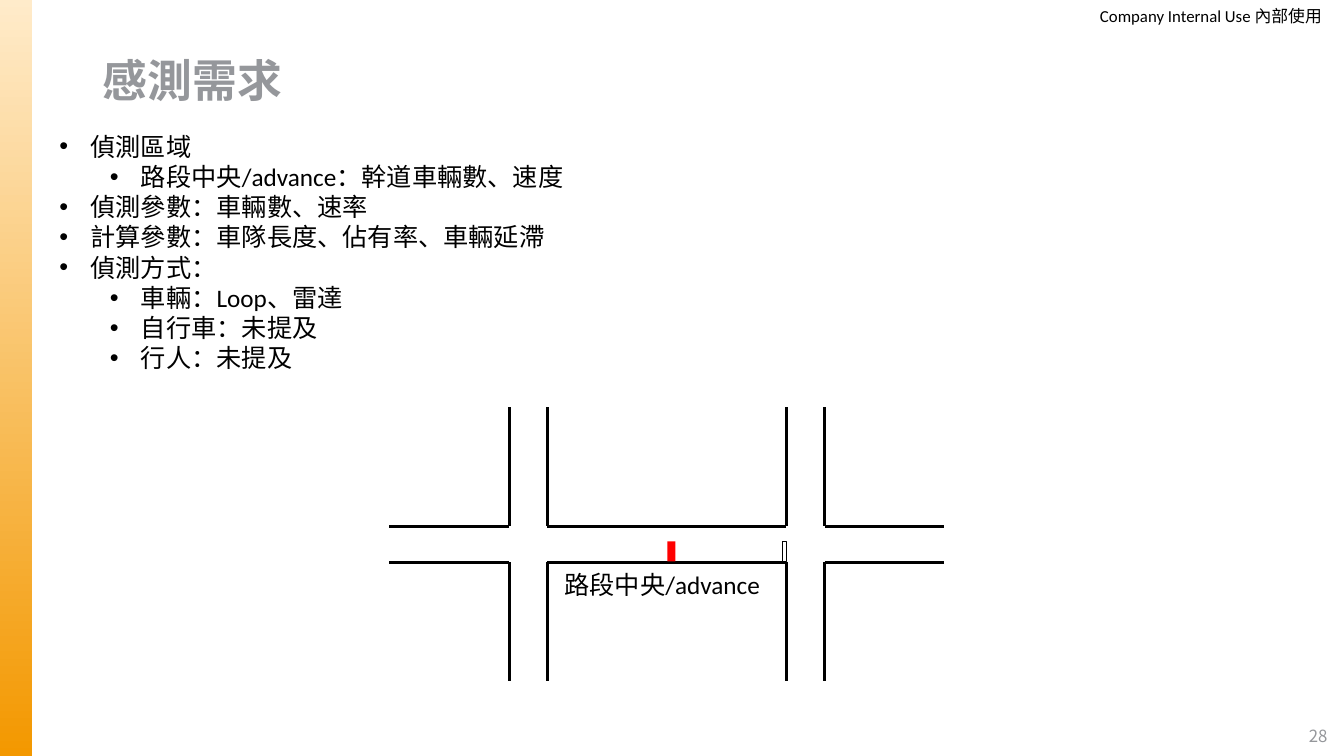
from lxml import etree
from pptx import Presentation
from pptx.dml.color import RGBColor
from pptx.enum.shapes import MSO_CONNECTOR, MSO_SHAPE
from pptx.enum.text import MSO_ANCHOR, PP_ALIGN
from pptx.oxml.ns import qn
from pptx.util import Pt

PX = 9144  # 100 px to the inch
BLACK = RGBColor(0x00, 0x00, 0x00)
WHITE = RGBColor(0xFF, 0xFF, 0xFF)
GRAY = RGBColor(0x95, 0x97, 0x9B)
RED = RGBColor(0xFF, 0x00, 0x00)
CREAM = RGBColor(0xFF, 0xEB, 0xCA)
ORANGE = RGBColor(0xF3, 0x98, 0x00)
LATIN, CJK, CJK_SC = "Calibri", "Noto Sans CJK TC", "Noto Sans CJK SC"
RECT, STRAIGHT = MSO_SHAPE.RECTANGLE, MSO_CONNECTOR.STRAIGHT
TOP, MIDDLE = MSO_ANCHOR.TOP, MSO_ANCHOR.MIDDLE
LEFT, CENTER, RIGHT = PP_ALIGN.LEFT, PP_ALIGN.CENTER, PP_ALIGN.RIGHT

BULLETS = [
    (0, "偵測區域"),
    (1, "路段中央/advance：幹道車輛數、速度"),
    (0, "偵測參數：車輛數、速率"),
    (0, "計算參數：車隊長度、佔有率、車輛延滯"),
    (0, "偵測方式："),
    (1, "車輛：Loop、雷達"),
    (1, "自行車：未提及"),
    (1, "行人：未提及"),
]


def emu(*lengths):
    return [n * PX for n in lengths]


def add_frame(s, box, anchor=TOP, insets=(10, 5, 10, 5)):
    tf = s.shapes.add_textbox(*emu(*box)).text_frame
    tf.word_wrap = True
    tf.vertical_anchor = anchor
    tf.margin_left, tf.margin_top, tf.margin_right, tf.margin_bottom = emu(*insets)
    return tf


def add_run(p, text, size, color=BLACK, font=LATIN, ea=CJK, bold=False):
    r = p.add_run()
    r.text = text
    r.font.size, r.font.bold, r.font.name = Pt(size), bold, font
    r.font.color.rgb = color
    etree.SubElement(r.font._element, qn("a:ea"), typeface=ea)


def add_label(s, box, text, size, align=LEFT, anchor=TOP, insets=(10, 5, 10, 5), **style):
    p = add_frame(s, box, anchor, insets).paragraphs[0]
    p.alignment = align
    add_run(p, text, size, **style)
    return p


def add_box(s, box):
    sp = s.shapes.add_shape(RECT, *emu(*box))
    sp.shadow.inherit = False
    sp.line.fill.background()
    return sp


def add_road_edge(s, x1, y1, x2, y2):
    line = s.shapes.add_connector(STRAIGHT, *emu(x1, y1, x2, y2))
    line.line.color.rgb = BLACK
    line.line.width = Pt(2.25)
    etree.SubElement(line._element.spPr, qn("a:effectLst"))


def add_side_band(s, box):
    fill = add_box(s, box).fill
    fill.gradient()
    fill.gradient_angle = 270
    for stop, color, position in zip(fill.gradient_stops, (CREAM, ORANGE), (0, 1)):
        stop.color.rgb = color
        stop.position = position


def add_bullets(s, box):
    tf = add_frame(s, box)
    for i, (level, text) in enumerate(BULLETS):
        p = tf.paragraphs[0] if i == 0 else tf.add_paragraph()
        p.level = level
        pPr = p._p.get_or_add_pPr()
        pPr.set("marL", str((31 + 50 * level) * PX))
        pPr.set("indent", str(-31 * PX))
        etree.SubElement(pPr, qn("a:buFont"), typeface="Arial")
        etree.SubElement(pPr, qn("a:buChar"), char="•")
        add_run(p, text, 18)


def add_road_diagram(s, box):
    x, y, w, h = box
    arm, lane, street = 118, 36, 38
    street_lefts = (x + arm + 1, x + w - arm - street)
    upper, lower = y + arm, y + arm + lane

    # Cross streets
    for left in street_lefts:
        for edge in (left, left + street):
            add_road_edge(s, edge, y, edge, upper)
            add_road_edge(s, edge, lower, edge, y + h)

    # Main road, broken at each cross street
    first, second = street_lefts
    blocks = ((x, first), (first + street, second), (second + street, x + w))
    for edge in (upper, lower):
        for start, end in blocks:
            add_road_edge(s, start, edge, end, edge)

    # Mid-block detector and stop-line detector
    detector = add_box(s, (x + w // 2 + 1, lower - 21, 8, 20))
    detector.fill.solid()
    detector.fill.fore_color.rgb = RED
    add_label(s, (x + 164, lower + 2, 229, 40), "路段中央/advance", 18)
    stop = add_box(s, (second - 4, lower - 21, 4, 20))
    stop.fill.solid()
    stop.fill.fore_color.rgb = WHITE
    stop.line.color.rgb = BLACK
    stop.line.width = Pt(1)


def build_slide(prs):
    s = prs.slides.add_slide(prs.slide_layouts[6])
    # Page frame
    add_label(s, (1083, 0, 251, 32), "Company Internal Use 內部使用", 12,
              RIGHT, MIDDLE, (0, 0, 23, 0))
    add_side_band(s, (0, 0, 32, 750))
    add_label(s, (1286, 710, 43, 40), "28", 12, CENTER, MIDDLE,
              color=GRAY, font=CJK_SC, ea=CJK_SC)
    # Title
    title = add_label(s, (92, 40, 1150, 85), "感測需求", 32, anchor=MIDDLE,
                      color=GRAY, font=CJK, bold=True)
    title.line_spacing = 0.9
    # Content
    add_bullets(s, (49, 125, 1171, 252))
    add_road_diagram(s, (386, 404, 550, 272))


def main():
    prs = Presentation()
    prs.slide_width, prs.slide_height = emu(1333, 750)
    build_slide(prs)
    prs.save("out.pptx")


if __name__ == "__main__":
    main()
